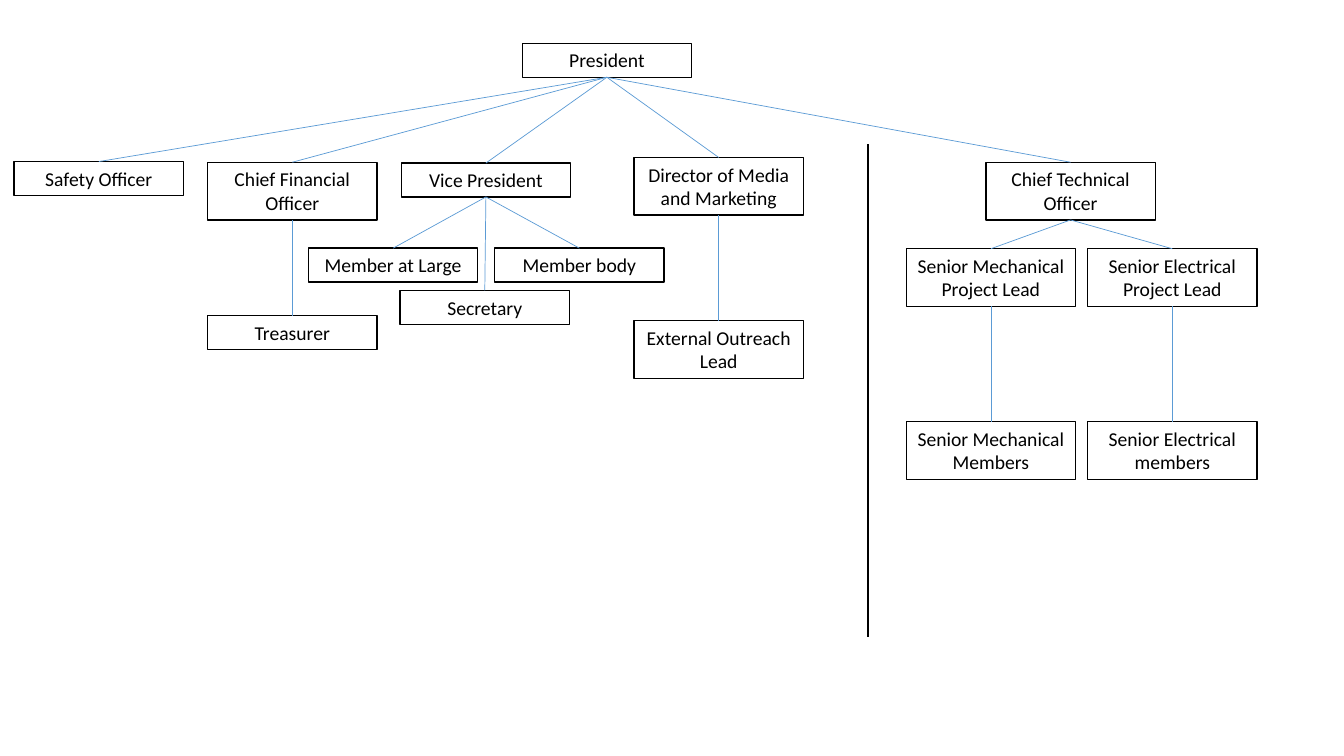
"""Build an organisation chart slide of club officers and project teams."""
from dataclasses import dataclass

import pptx
import pptx.dml.color
import pptx.enum.shapes
import pptx.enum.text
import pptx.oxml.ns
import pptx.util
from lxml import etree

Pt = pptx.util.Pt
RGBColor = pptx.dml.color.RGBColor

BLACK = RGBColor(0x00, 0x00, 0x00)
WHITE = RGBColor(0xFF, 0xFF, 0xFF)
BLUE = RGBColor(0x5B, 0x9B, 0xD5)

BOX_W = 121
HEIGHTS = {1: 24.2, 2: 41.2}
BOTTOM, TOP = 2, 0


@dataclass
class Role:
    title: str
    x: float
    y: float
    lines: int = 1
    boss: str = ""


ROLES = [
    Role("President", 373, 31),
    Role("Safety Officer", 10.1, 115.4, boss="President"),
    Role("Chief Financial Officer", 148.3, 115.9, 2, "President"),
    Role("Vice President", 286.6, 116.5, boss="President"),
    Role("Director of Media and Marketing", 452.9, 112.5, 2, "President"),
    Role("Chief Technical Officer", 704.2, 115.9, 2, "President"),
    Role("Treasurer", 148.3, 225.4, boss="Chief Financial Officer"),
    Role("Member at Large", 220.3, 177.3, boss="Vice President"),
    Role("Secretary", 285.8, 207.5, boss="Vice President"),
    Role("Member body", 353.4, 177.3, boss="Vice President"),
    Role("External Outreach Lead", 452.9, 229, 2, "Director of Media and Marketing"),
]
for field, x, noun in (("Mechanical", 647.3, "Members"), ("Electrical", 776.9, "members")):
    lead = f"Senior {field} Project Lead"
    ROLES += [
        Role(lead, x, 177.7, 2, "Chief Technical Officer"),
        Role(f"Senior {field} {noun}", x, 301.2, 2, lead),
    ]


def write(tf, text: str, *, size: float = 14, font: str = "Calibri", color: RGBColor = BLACK) -> None:
    """Put one centred, formatted paragraph in a text frame."""
    tf.word_wrap = True
    tf.auto_size = pptx.enum.text.MSO_AUTO_SIZE.SHAPE_TO_FIT_TEXT
    tf.vertical_anchor = pptx.enum.text.MSO_ANCHOR.TOP
    p = tf.paragraphs[0]
    p.alignment = pptx.enum.text.PP_ALIGN.CENTER
    r = p.add_run()
    r.text = text
    r.font.size = Pt(size)
    r.font.name = font
    r.font.color.rgb = color


def add_box(s, role: Role):
    """Draw the outlined box of a role."""
    sp = s.shapes.add_shape(
        pptx.enum.shapes.MSO_SHAPE.RECTANGLE,
        Pt(role.x), Pt(role.y), Pt(BOX_W), Pt(HEIGHTS[role.lines]),
    )
    sp.shadow.inherit = False
    sp.fill.solid()
    sp.fill.fore_color.rgb = WHITE
    sp.line.color.rgb = BLACK
    sp.line.width = Pt(1)
    write(sp.text_frame, role.title)
    return sp


def add_line(s, x1: float, y1: float, x2: float, y2: float, color: RGBColor, width: float):
    """Draw a straight connector without a shadow."""
    cxn = s.shapes.add_connector(
        pptx.enum.shapes.MSO_CONNECTOR.STRAIGHT, Pt(x1), Pt(y1), Pt(x2), Pt(y2)
    )
    cxn.line.color.rgb = color
    cxn.line.width = Pt(width)
    etree.SubElement(cxn._element.spPr, pptx.oxml.ns.qn("a:effectLst"))
    return cxn


def main() -> None:
    """Build and save the slide."""
    prs = pptx.Presentation()
    prs.slide_width, prs.slide_height = Pt(960), Pt(540)
    s = prs.slides.add_slide(prs.slide_layouts[6])
    boxes = {role.title: add_box(s, role) for role in ROLES}
    for role in ROLES:
        if role.boss:
            link = add_line(s, 0, 0, 0, 0, BLUE, 0.5)
            link.begin_connect(boxes[role.boss], BOTTOM)
            link.end_connect(boxes[role.title], TOP)
    add_line(s, 620, 103, 620, 455, BLACK, 1)
    prs.save("out.pptx")


main()
